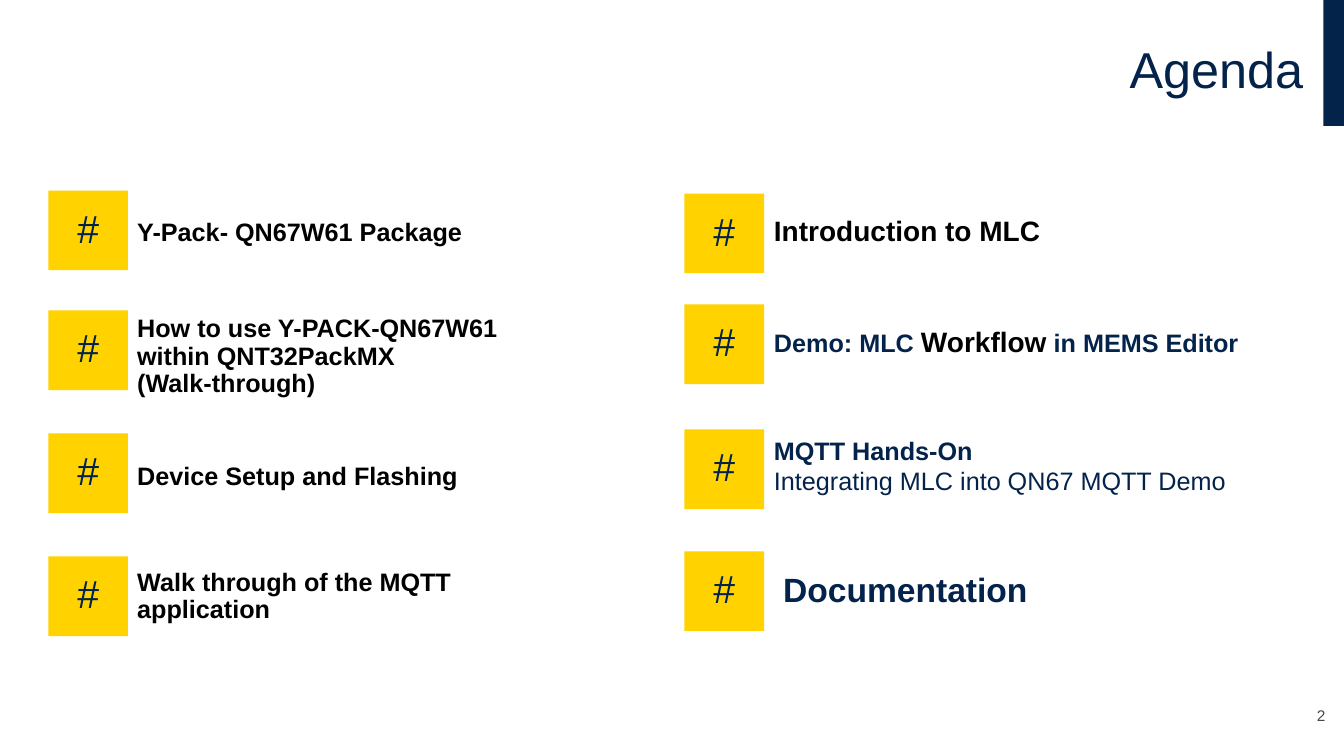
from dataclasses import dataclass

from pptx import Presentation
from pptx.dml.color import RGBColor
from pptx.enum.shapes import MSO_SHAPE
from pptx.enum.text import MSO_ANCHOR as Anchor, PP_ALIGN as Align
from pptx.slide import Slide
from pptx.text.text import TextFrame
from pptx.util import Pt

COLORS = {"navy": "03234B", "yellow": "FFD200", "black": "000000", "gray": "464650"}
FONT = "Arial"
TILE_SIZE = 56.9
LEFT_TILES, RIGHT_TILES = 34.56, 488.88
LEFT_TEXTS, RIGHT_TEXTS = 90.9, 545.76


@dataclass(frozen=True)
class Run:
    text: str
    size: float = 18
    color: str = "black"
    bold: bool = True


@dataclass(frozen=True)
class Box:
    left: float
    top: float
    width: float
    height: float

    def lengths(self) -> tuple[Pt, ...]:
        return tuple(Pt(v) for v in (self.left, self.top, self.width, self.height))


@dataclass(frozen=True)
class Topic:
    tile_left: float
    tile_top: float
    box: Box
    paragraphs: list[list[Run]]
    anchor: Anchor = Anchor.MIDDLE
    line_spacing: float = 0.9


TOPICS = [
    Topic(LEFT_TILES, 136.08, Box(LEFT_TEXTS, 151.2, 270.72, 29.52),
          [[Run("Y-Pack- QN67W61 Package")]], Anchor.TOP, 1.0),
    Topic(LEFT_TILES, 221.76, Box(LEFT_TEXTS, 218.16, 288, 73.44),
          [[Run("How to use Y-PACK-QN67W61 within QNT32PackMX")], [Run("(Walk-through)")]]),
    Topic(LEFT_TILES, 309.6, Box(LEFT_TEXTS, 304.56, 345.6, 73.44),
          [[Run("Device Setup and Flashing")]]),
    Topic(LEFT_TILES, 397.44, Box(LEFT_TEXTS, 397.44, 303.12, 57.6),
          [[Run("Walk through of the MQTT application")]]),
    Topic(RIGHT_TILES, 138.24, Box(RIGHT_TEXTS, 149.04, 303.84, 59.04),
          [[Run("Introduction to MLC", 20)]], Anchor.TOP, 1.0),
    Topic(RIGHT_TILES, 217.44, Box(RIGHT_TEXTS, 228.24, 411.84, 32.4),
          [[Run("Demo: MLC ", color="navy"), Run("Workflow", 20),
            Run(" in MEMS Editor", color="navy")]], Anchor.TOP, 1.0),
    Topic(RIGHT_TILES, 306.72, Box(RIGHT_TEXTS, 307.44, 380.16, 51.12),
          [[Run("MQTT Hands-On", color="navy")],
           [Run("Integrating MLC into QN67 MQTT Demo", color="navy", bold=False)]],
          Anchor.TOP, 1.0),
    Topic(RIGHT_TILES, 393.84, Box(552.24, 393.84, 303.12, 57.6),
          [[Run("Documentation", 24, "navy")]]),
]


def rgb(name: str) -> RGBColor:
    return RGBColor.from_string(COLORS[name])


def write(frame: TextFrame, paragraphs: list[list[Run]], anchor: Anchor = Anchor.MIDDLE,
          align: Align = Align.LEFT, line_spacing: float = 0.9,
          margins: tuple[float, float] = (7.2, 3.6)) -> None:
    """Fill a frame; margins are horizontal, then vertical."""
    side, edge = (Pt(margin) for margin in margins)
    frame_format = {"word_wrap": True, "vertical_anchor": anchor, "margin_left": side,
                    "margin_right": side, "margin_top": edge, "margin_bottom": edge}
    for name, value in frame_format.items():
        setattr(frame, name, value)
    for index, runs in enumerate(paragraphs):
        paragraph = frame.add_paragraph() if index else frame.paragraphs[0]
        paragraph_format = {"alignment": align, "line_spacing": line_spacing,
                            "space_before": Pt(0), "space_after": Pt(0)}
        for name, value in paragraph_format.items():
            setattr(paragraph, name, value)
        for item in runs:
            run = paragraph.add_run()
            run.text = item.text
            for name, value in {"name": FONT, "size": Pt(item.size), "bold": item.bold}.items():
                setattr(run.font, name, value)
            run.font.color.rgb = rgb(item.color)


def add_rectangle(slide: Slide, box: Box, color: str) -> TextFrame:
    shape = slide.shapes.add_shape(MSO_SHAPE.RECTANGLE, *box.lengths())
    shape.shadow.inherit = False
    shape.fill.solid()
    shape.fill.fore_color.rgb = rgb(color)
    shape.line.fill.background()
    return shape.text_frame


def add_topic(slide: Slide, topic: Topic) -> None:
    tile = Box(topic.tile_left, topic.tile_top, TILE_SIZE, TILE_SIZE)
    write(add_rectangle(slide, tile, "yellow"), [[Run("#", 28, "navy", False)]],
          align=Align.CENTER, margins=(0, 0))
    text_box = slide.shapes.add_textbox(*topic.box.lengths())
    write(text_box.text_frame, topic.paragraphs, topic.anchor,
          line_spacing=topic.line_spacing)


def add_title(slide: Slide, text: str) -> None:
    title = slide.shapes.title
    title.left, title.top, title.width, title.height = Box(23.76, 0, 914.4, 102.96).lengths()
    write(title.text_frame, [[Run(text, 36, "navy", False)]], align=Align.RIGHT)


def add_page_number(slide: Slide, number: str) -> None:
    text_box = slide.shapes.add_textbox(*Box(914.4, 498.24, 32.4, 23.04).lengths())
    write(text_box.text_frame, [[Run(number, 11, "gray", False)]], Anchor.BOTTOM,
          Align.RIGHT, 1.0, (0, 3.6))


def main() -> None:
    presentation = Presentation()
    presentation.slide_width, presentation.slide_height = Pt(960), Pt(540)
    slide = presentation.slides.add_slide(presentation.slide_layouts.get_by_name("Title Only"))
    add_rectangle(slide, Box(945.36, 0, 14.64, 90), "navy")
    add_title(slide, "Agenda")
    for topic in TOPICS:
        add_topic(slide, topic)
    add_page_number(slide, "2")
    presentation.save("out.pptx")


if __name__ == "__main__":
    main()
